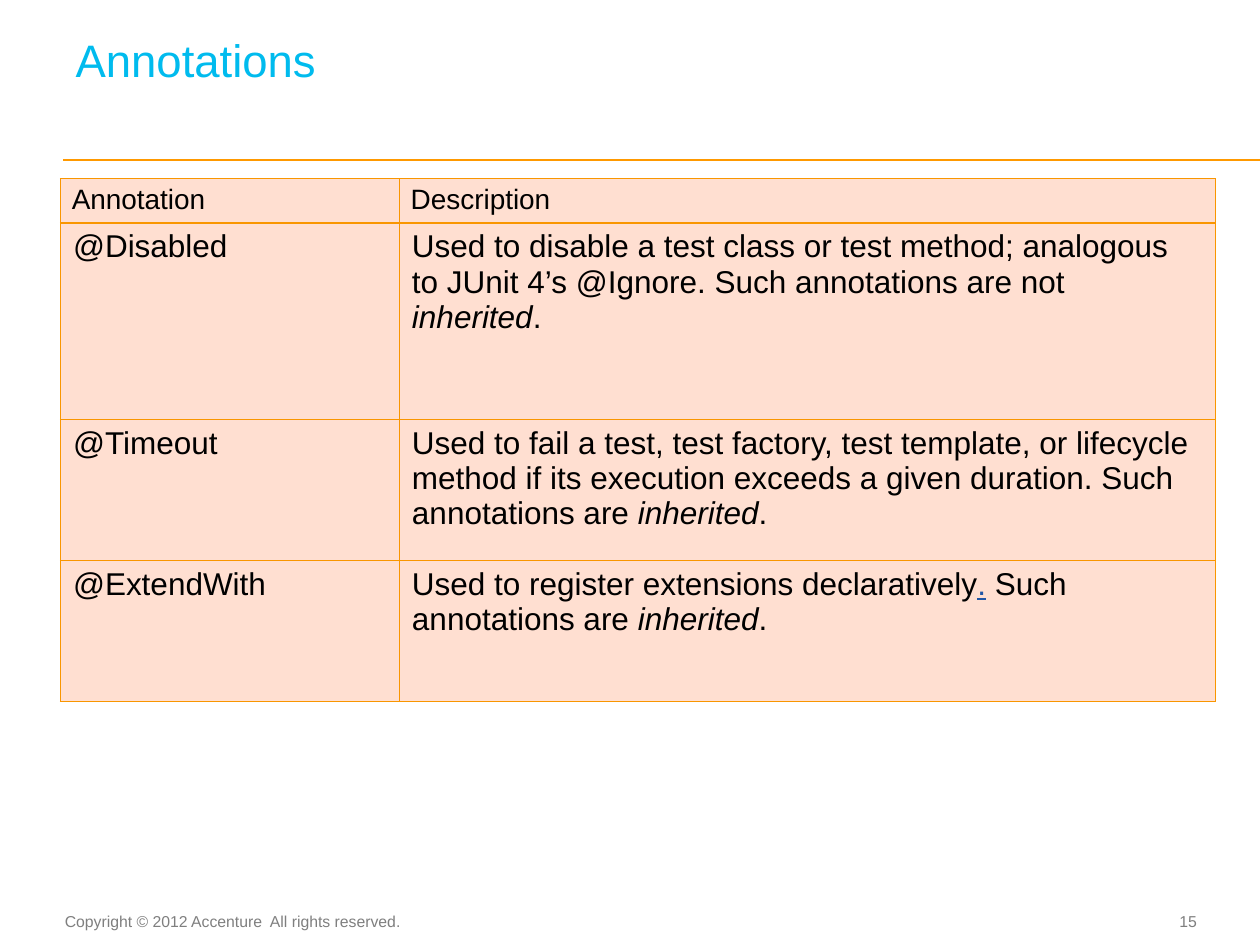
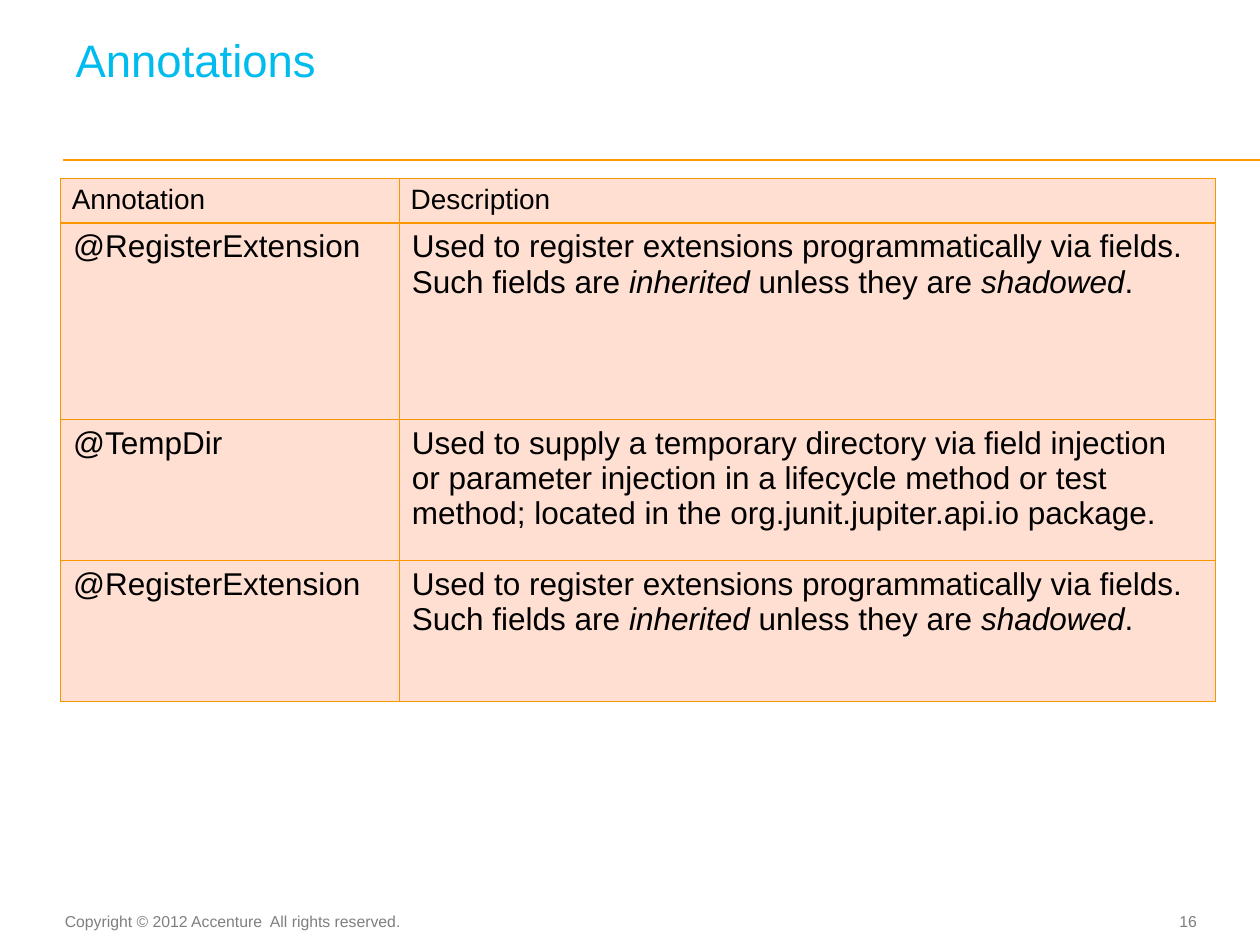
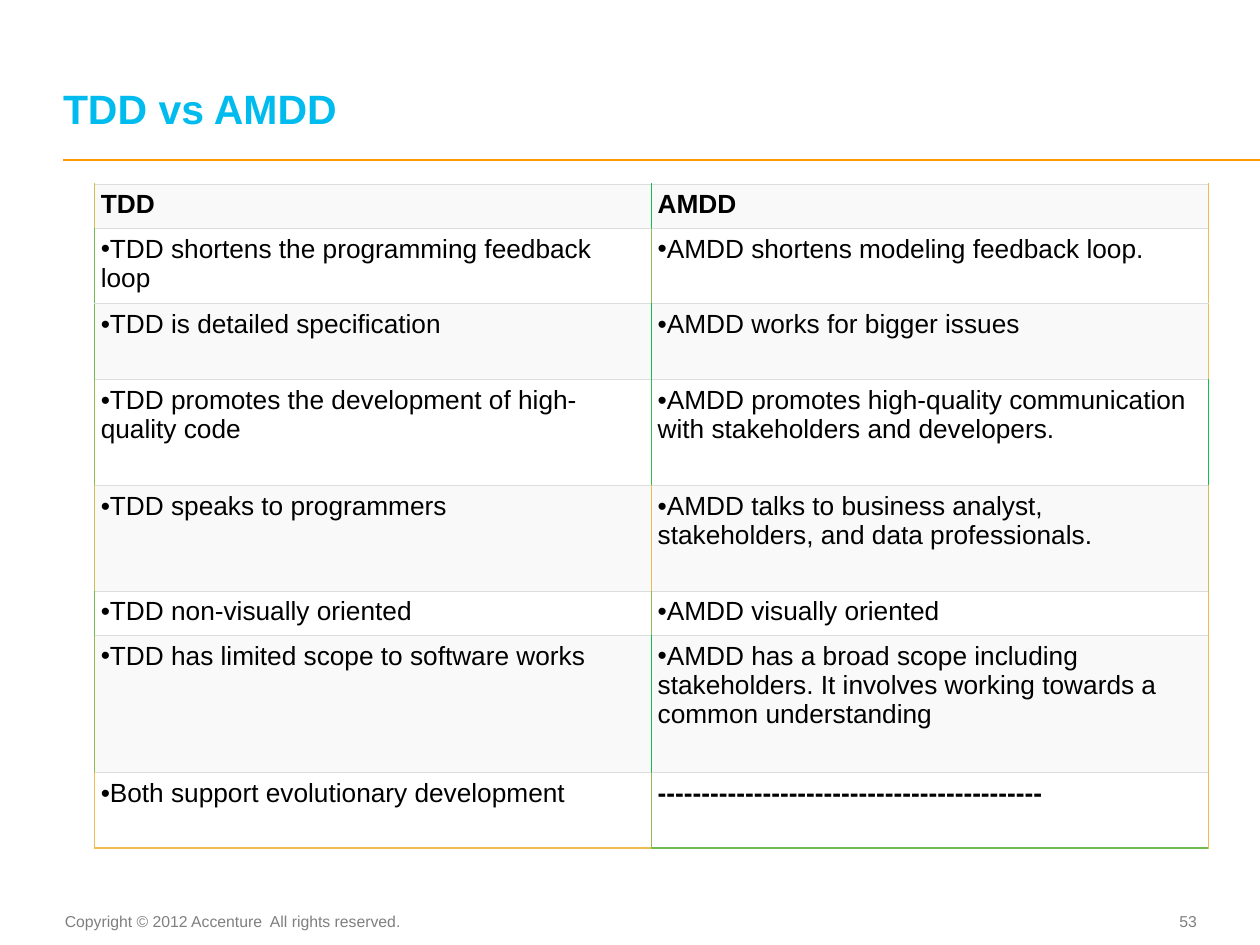
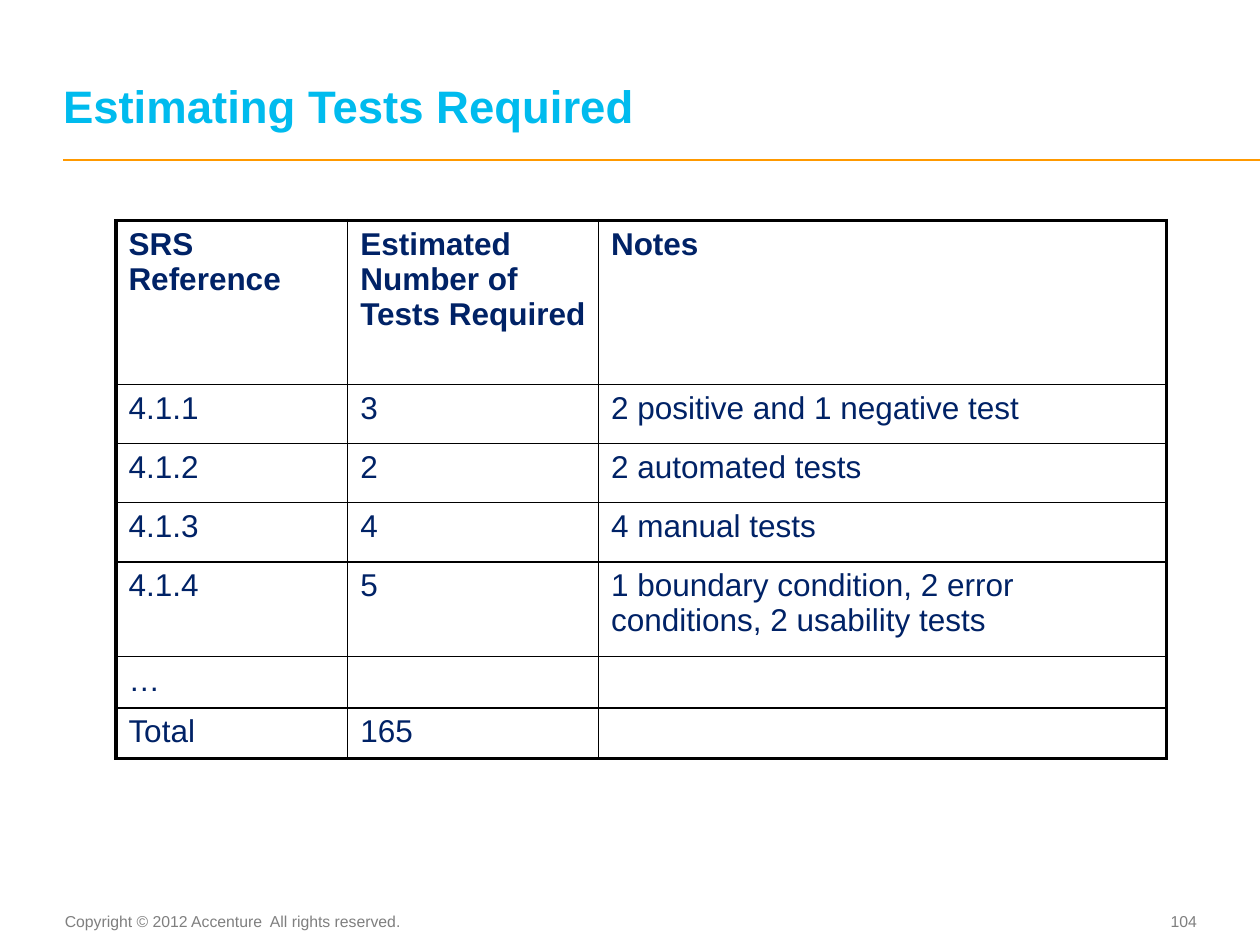
"""Build four slides of tables on unit test annotations, TDD and test estimates."""
import dataclasses
import typing

import lxml.etree
import pptx
import pptx.dml.color
import pptx.enum.shapes
import pptx.enum.text
import pptx.oxml.ns
import pptx.presentation
import pptx.shapes.connector
import pptx.slide
import pptx.table
import pptx.text.text
import pptx.util

EMU_PER_PX = 9144
FONT = "Arial"
BLACK = "000000"
NAVY = "002266"
CYAN = "00BBEE"
ORANGE = "FF9900"
GRAY = "7F7F7F"
PEACH = "FFDFD1"
LINK_BLUE = "2156A5"
COPYRIGHT = "Copyright © 2012 Accenture  All rights reserved."
TITLE_LINE = 26


class Box(typing.NamedTuple):
    left: int
    top: int
    width: int
    height: int


class Insets(typing.NamedTuple):
    left: int = 0
    top: int = 0
    right: int = 0
    bottom: int = 0


class Line(typing.NamedTuple):
    color: str
    width: float


class Run(typing.NamedTuple):
    text: str
    italic: bool = False
    underline: bool = False
    color: str | None = None


@dataclasses.dataclass
class Cell:
    runs: list[Run]
    size: float = 18
    color: str = BLACK
    bold: bool = False
    bulleted: bool = False
    insets: Insets = Insets(10, 5, 10, 5)
    fill: str | None = None


@dataclasses.dataclass
class Grid:
    left: int
    top: int
    widths: list[int]
    heights: list[int]
    rows: list[list[Cell]]
    verticals: list[list[Line]]
    horizontals: list[list[Line]]


@dataclasses.dataclass
class Page:
    title: str
    number: int
    grid: Grid
    title_size: float = 26
    title_bold: bool = True
    title_insets: Insets = Insets()


def px(length: int) -> pptx.util.Emu:
    return pptx.util.Emu(length * EMU_PER_PX)


def rgb(color: str) -> pptx.dml.color.RGBColor:
    return pptx.dml.color.RGBColor.from_string(color)


def add_run(paragraph: pptx.text.text._Paragraph, run: Run, size: float, color: str, bold: bool = False) -> None:
    text_run = paragraph.add_run()
    text_run.text = run.text
    font = text_run.font
    font.name = FONT
    font.size = pptx.util.Pt(size)
    font.bold = bold
    font.italic = run.italic
    font.underline = run.underline
    font.color.rgb = rgb(run.color or color)


def set_insets(target: pptx.text.text.TextFrame | pptx.table._Cell, insets: Insets) -> None:
    target.margin_left, target.margin_top, target.margin_right, target.margin_bottom = map(px, insets)


def add_element(parent: lxml.etree._Element, tag: str, **attributes: str) -> lxml.etree._Element:
    return lxml.etree.SubElement(parent, pptx.oxml.ns.qn(tag), attributes)


def add_title(slide: pptx.slide.Slide, page: Page) -> None:
    title = slide.shapes.title
    title.left, title.top, title.width, title.height = map(px, Box(50, 19, 897, 86))
    frame = title.text_frame
    frame.auto_size = pptx.enum.text.MSO_AUTO_SIZE.NONE
    frame.vertical_anchor = pptx.enum.text.MSO_ANCHOR.BOTTOM
    set_insets(frame, page.title_insets)
    paragraph = frame.paragraphs[0]
    paragraph.alignment = pptx.enum.text.PP_ALIGN.LEFT
    paragraph.line_spacing = pptx.util.Pt(TITLE_LINE)
    paragraph.space_before = pptx.util.Pt(0)
    add_run(paragraph, Run(page.title), page.title_size, CYAN, page.title_bold)


def add_rule(slide: pptx.slide.Slide) -> None:
    rule = slide.shapes.add_connector(
        pptx.enum.shapes.MSO_CONNECTOR.STRAIGHT, px(50), px(127), px(1000), px(127))
    rule.line.color.rgb = rgb(ORANGE)
    rule.line.width = pptx.util.Pt(1)
    add_element(rule._element.spPr, "a:effectLst")


def add_footer_text(slide: pptx.slide.Slide, text: str, box: Box, insets: Insets,
                    alignment: pptx.enum.text.PP_ALIGN, anchor: pptx.enum.text.MSO_ANCHOR) -> None:
    frame = slide.shapes.add_textbox(*map(px, box)).text_frame
    frame.vertical_anchor = anchor
    set_insets(frame, insets)
    paragraph = frame.paragraphs[0]
    paragraph.alignment = alignment
    add_run(paragraph, Run(text), 9, GRAY)


def add_footer(slide: pptx.slide.Slide, number: int) -> None:
    align, anchor = pptx.enum.text.PP_ALIGN, pptx.enum.text.MSO_ANCHOR
    add_footer_text(slide, COPYRIGHT, Box(49, 719, 281, 25), Insets(0, 5, 10, 5), align.CENTER, anchor.TOP)
    add_footer_text(slide, str(number), Box(891, 718, 59, 27), Insets(), align.RIGHT, anchor.MIDDLE)


def add_border(cell: pptx.table._Cell, side: str, line: Line) -> None:
    border = add_element(cell._tc.get_or_add_tcPr(), f"a:ln{side}", w=str(pptx.util.Pt(line.width)))
    add_element(add_element(border, "a:solidFill"), "a:srgbClr", val=line.color)


def fill_cell(target: pptx.table._Cell, cell: Cell) -> None:
    set_insets(target, cell.insets if cell.runs else Insets())
    if cell.fill:
        target.fill.solid()
        target.fill.fore_color.rgb = rgb(cell.fill)
    else:
        target.fill.background()
    paragraph = target.text_frame.paragraphs[0]
    if cell.bulleted:
        properties = paragraph._p.get_or_add_pPr()
        properties.set("marL", "0")
        properties.set("indent", "0")
        add_element(properties, "a:buFont", typeface=FONT)
        add_element(properties, "a:buChar", char="•")
    for run in cell.runs:
        add_run(paragraph, run, cell.size, cell.color, cell.bold)


def add_grid(slide: pptx.slide.Slide, grid: Grid) -> None:
    box = Box(grid.left, grid.top, sum(grid.widths), sum(grid.heights))
    table = slide.shapes.add_table(len(grid.heights), len(grid.widths), *map(px, box)).table
    table.first_row = table.horz_banding = False
    for column, width in zip(table.columns, grid.widths):
        column.width = px(width)
    for row, height in zip(table.rows, grid.heights):
        row.height = px(height)
    for row_index, cells in enumerate(grid.rows):
        for column_index, cell in enumerate(cells):
            target = table.cell(row_index, column_index)
            add_border(target, "L", grid.verticals[row_index][column_index])
            add_border(target, "R", grid.verticals[row_index][column_index + 1])
            add_border(target, "T", grid.horizontals[row_index][column_index])
            add_border(target, "B", grid.horizontals[row_index + 1][column_index])
            fill_cell(target, cell)


def annotation_page(number: int, entries: list[tuple[str, list[Run]]]) -> Page:
    header = [Cell([Run(text)], size=16, insets=Insets(9, 4, 9, 4), fill=PEACH)
              for text in ("Annotation", "Description")]
    body = [[Cell([Run(name)], fill=PEACH), Cell(description, fill=PEACH)]
            for name, description in entries]
    line = Line("F99600", 0.75)
    grid = Grid(48, 142, [269, 648], [35, 156, 112, 112], [header, *body],
                verticals=[[line] * 3] * 4, horizontals=[[line] * 2] * 5)
    return Page("Annotations", number, grid, title_bold=False, title_insets=Insets(left=10, bottom=36))


def comparison_page() -> Page:
    texts = [
        ("TDD", "AMDD"),
        ("TDD shortens the programming feedback loop", "AMDD shortens modeling feedback loop."),
        ("TDD is detailed specification", "AMDD works for bigger issues"),
        ("TDD promotes the development of high-quality code",
         "AMDD promotes high-quality communication with stakeholders and developers."),
        ("TDD speaks to programmers",
         "AMDD talks to business analyst, stakeholders, and data professionals."),
        ("TDD non-visually oriented", "AMDD visually oriented"),
        ("TDD has limited scope to software works",
         "AMDD has a broad scope including stakeholders. "
         "It involves working towards a common understanding"),
        ("Both support evolutionary development", "-" * 44),
    ]
    side_colors = [
        ("D0BE50", "10BE50", "F0BA50"),
        ("70BB50", "90BE50", "F0BD50"),
        ("70BB50", "10BE50", "F0BD50"),
        ("90BB50", "30BC50", "10BF50"),
        ("D0BE50", "F0BA50", "D0BE50"),
        ("70BB50", "90BE50", "F0BA50"),
        ("90BB50", "10BF50", "F0BD50"),
        ("F0BA50", "90BB50", "F0BA50"),
    ]
    rows = []
    for index, pair in enumerate(texts):
        row = []
        for text in pair:
            plain = index == 0 or text.startswith("-")
            row.append(Cell([Run(text)], size=15, bold=plain, bulleted=not plain,
                            insets=Insets(5, 5, 5, 5), fill="FFFFFF" if index % 2 else "F9F9F9"))
        rows.append(row)
    grid = Grid(75, 146, [442, 442], [35, 60, 60, 84, 84, 35, 109, 60], rows,
                verticals=[[Line(color, 1) for color in colors] for colors in side_colors],
                horizontals=[[Line("DDDDDD", 0.6)] * 2] * 8 + [[Line("F0BD50", 1), Line("70BB50", 1)]])
    return Page("TDD vs AMDD", 53, grid, title_size=23.4)


def estimate_page() -> Page:
    texts = [
        ("SRS Reference", "Estimated Number of Tests Required", "Notes"),
        ("4.1.1", "3", "2 positive and 1 negative test"),
        ("4.1.2", "2", "2 automated tests"),
        ("4.1.3", "4", "4 manual tests"),
        ("4.1.4", "5", "1 boundary condition, 2 error conditions, 2 usability tests"),
        ("…", "", ""),
        ("Total", "165", ""),
    ]
    rows = [[Cell([Run(text)] if text else [], color=NAVY, bold=index == 0) for text in row]
            for index, row in enumerate(texts)]
    thin, thick = Line(BLACK, 1), Line(BLACK, 2.25)
    grid = Grid(92, 175, [184, 199, 451], [130, 47, 47, 47, 75, 41, 39], rows,
                verticals=[[thick, thin, thin, thick]] * 7,
                horizontals=[[thick] * 3] + [[thin] * 3] * 6 + [[thick] * 3])
    return Page("Estimating Tests Required", 104, grid)


def add_page(presentation: pptx.presentation.Presentation, page: Page) -> None:
    slide = presentation.slides.add_slide(presentation.slide_layouts[5])
    add_rule(slide)
    add_footer(slide, page.number)
    add_title(slide, page)
    add_grid(slide, page.grid)


def main() -> None:
    inherited = [Run("inherited", italic=True), Run(".")]
    register_extension = ("@RegisterExtension", [
        Run("Used to register extensions programmatically via fields. Such fields are "),
        Run("inherited", italic=True), Run(" unless they are "),
        Run("shadowed", italic=True), Run(".")])
    pages = [
        annotation_page(15, [
            ("@Disabled", [
                Run("Used to disable a test class or test method; analogous to JUnit 4’s @Ignore. "
                    "Such annotations are not "), *inherited]),
            ("@Timeout", [
                Run("Used to fail a test, test factory, test template, or lifecycle method if its "
                    "execution exceeds a given duration. Such annotations are "), *inherited]),
            ("@ExtendWith", [
                Run("Used to register extensions declaratively"),
                Run(".", underline=True, color=LINK_BLUE),
                Run(" Such annotations are "), *inherited]),
        ]),
        annotation_page(16, [
            register_extension,
            ("@TempDir", [
                Run("Used to supply a temporary directory via field injection or parameter injection "
                    "in a lifecycle method or test method; located in the "
                    "org.junit.jupiter.api.io package.")]),
            register_extension,
        ]),
        comparison_page(),
        estimate_page(),
    ]
    presentation = pptx.Presentation()
    presentation.slide_width, presentation.slide_height = px(1000), px(750)
    for page in pages:
        add_page(presentation, page)
    presentation.save("out.pptx")


if __name__ == "__main__":
    main()
